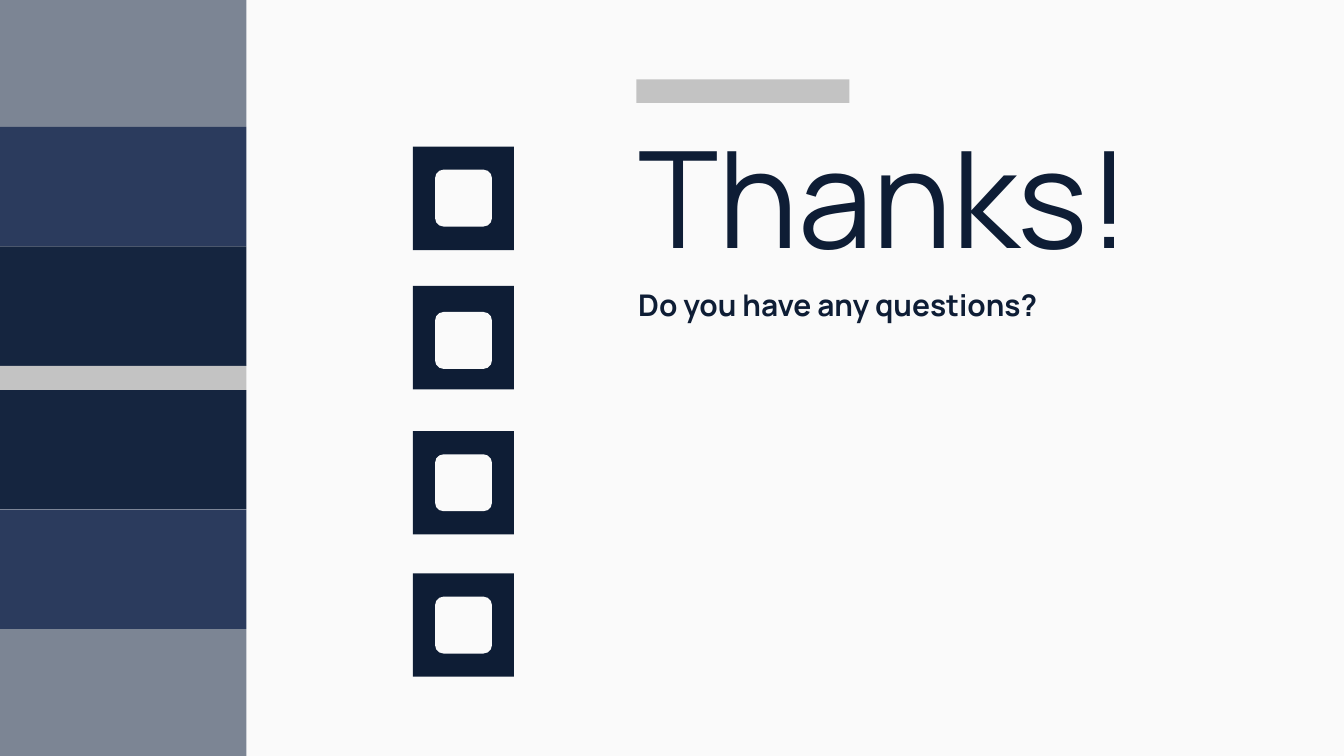
from pptx import Presentation
from pptx.dml.color import RGBColor
from pptx.enum.shapes import MSO_SHAPE as Shape
from pptx.enum.text import MSO_ANCHOR as Anchor
from pptx.util import Pt

FONT = "Manrope"
COLORS = {
    "paper": "FAFAFA",
    "ink": "0E1D35",
    "navy": "15253F",
    "blue": "2B3B5D",
    "slate": "7C8594",
    "silver": "C3C3C3",
}
STRIPES = [("slate", 68), ("blue", 64), ("navy", 64), ("silver", 13),
           ("navy", 64), ("blue", 64), ("slate", 68)]
STRIPE_WIDTH = 132
TILE_TOPS = [78.6, 153.2, 231, 307.2]
ICON_TOP, ICON_STEP, ICON_SIZE = 90.9, 76.25, 30.5


def rgb(name):
    return RGBColor.from_string(COLORS[name])


def add_block(s, x, y, w, h, color, kind=Shape.RECTANGLE):
    sp = s.shapes.add_shape(kind, Pt(x), Pt(y), Pt(w), Pt(h))
    sp.shadow.inherit = False
    sp.fill.solid()
    sp.fill.fore_color.rgb = rgb(color)
    sp.line.fill.background()
    return sp


def add_text(s, x, y, w, h, text, size, bold=False, spacing=1.0):
    tf = s.shapes.add_textbox(Pt(x), Pt(y), Pt(w), Pt(h)).text_frame
    tf.word_wrap = True
    tf.vertical_anchor = Anchor.TOP
    tf.margin_left = tf.margin_right = Pt(7.2)
    tf.margin_top = tf.margin_bottom = Pt(7.2)
    p = tf.paragraphs[0]
    p.line_spacing = spacing
    r = p.add_run()
    r.text = text
    r.font.name = FONT
    r.font.size = Pt(size)
    r.font.bold = bold
    r.font.color.rgb = rgb("ink")


def add_stripes(s):
    y = 0
    for color, height in STRIPES:
        add_block(s, 0, y, STRIPE_WIDTH, height, color)
        y += height


def add_social_tiles(s):
    for i, top in enumerate(TILE_TOPS):
        add_block(s, 221.2, top, 54.2, 55.4, "ink")
        icon = add_block(s, 233.1, ICON_TOP + i * ICON_STEP, ICON_SIZE,
                         ICON_SIZE, "paper", Shape.ROUNDED_RECTANGLE)
        icon.adjustments[0] = 0.15


def main():
    prs = Presentation()
    prs.slide_width, prs.slide_height = Pt(720), Pt(405)
    s = prs.slides.add_slide(prs.slide_layouts[6])
    s.background.fill.solid()
    s.background.fill.fore_color.rgb = rgb("paper")

    add_stripes(s)
    add_social_tiles(s)
    add_block(s, 341, 42.5, 114, 12.7, "silver")
    add_text(s, 334.8, 60.5, 290, 83.5, "Thanks!", 72, spacing=0.95)
    add_text(s, 334.8, 146.2, 290, 89.3, "Do you have any questions?", 16, bold=True)
    prs.save("out.pptx")


if __name__ == "__main__":
    main()
